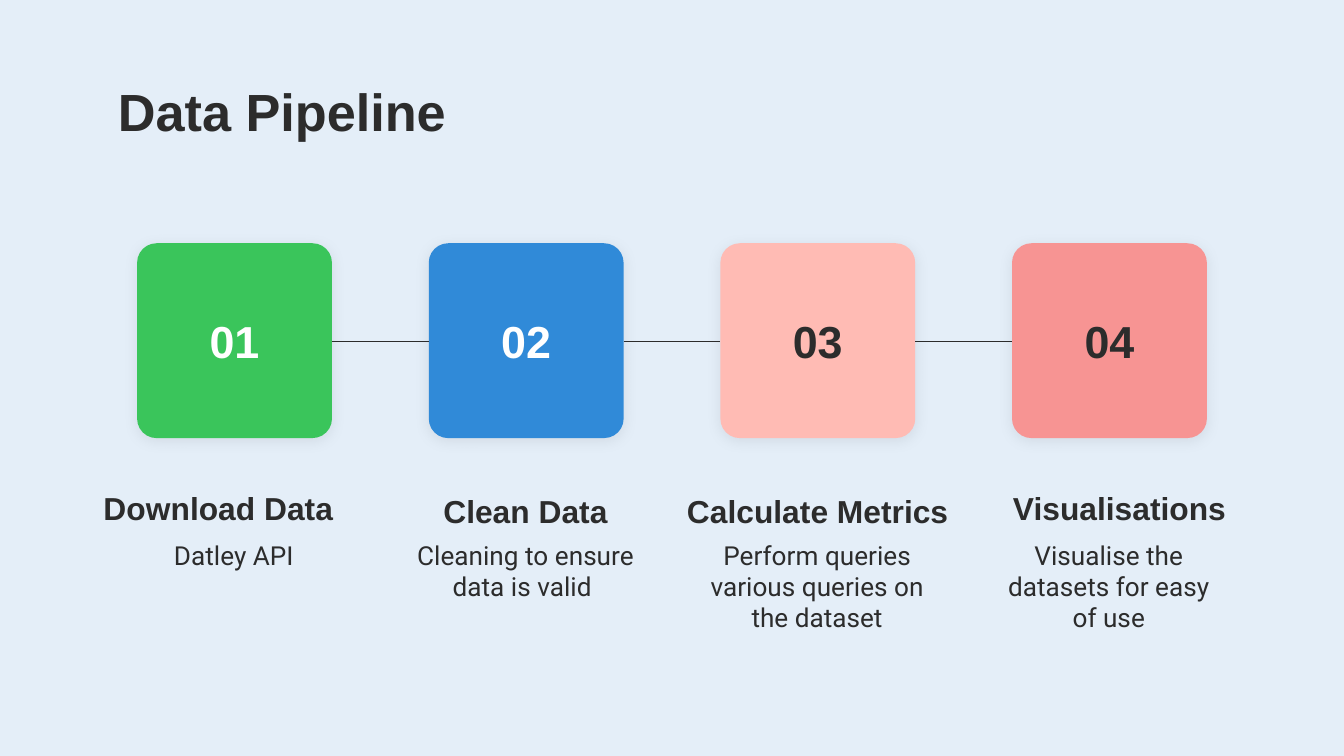
import lxml.etree
import pptx
import pptx.dml.color
import pptx.enum.shapes
import pptx.enum.text
import pptx.oxml.ns
import pptx.util

Inches = pptx.util.Inches
ANCHOR = pptx.enum.text.MSO_ANCHOR
ALIGN = pptx.enum.text.PP_ALIGN

THEME = {
    "background": "E4EEF8", "ink": "2C2C2C", "white": "FFFFFF",
    "green": "3AC55B", "blue": "308AD8", "blush": "FFBBB4", "coral": "F79493",
    "heading_font": "Arial", "body_font": "Roboto",
    "title_size": 28, "number_size": 24, "heading_size": 17, "body_size": 14,
    "line_width": 0.75,
}

TITLE = "Data Pipeline"
# Heading boxes are (left, top, width); the last value is the description's left.
STEPS = [
    ("green", "white", "Download Data", (0.54, 3.41, 2.17),
     "Datley API", 0.78),
    ("blue", "white", "Clean Data", (2.95, 3.43, 1.92),
     "Cleaning to ensure data is valid ", 2.95),
    ("blush", "ink", "Calculate Metrics", (4.78, 3.43, 2.61),
     "Perform queries various queries on the dataset", 5.12),
    ("coral", "ink", "Visualisations", (7.29, 3.41, 2.08),
     "Visualise the datasets for easy of use", 7.29),
]

SLIDE_WIDTH = Inches(10)
SLIDE_HEIGHT = SLIDE_WIDTH * 9 // 16
TILE_LEFT, TILE_TOP, TILE_SIZE, TILE_PITCH = 1.02, 1.81, 1.45, 2.17
LINE_TOP = 2.54
HEADING_HEIGHT = 0.61
BODY_TOP, BODY_WIDTH, BODY_HEIGHT = 3.91, 1.92, 0.91


def color(name):
    return pptx.dml.color.RGBColor.from_string(THEME[name])


def set_text(shape, text, role, ink="ink", anchor=ANCHOR.TOP, align=ALIGN.CENTER):
    frame = shape.text_frame
    frame.word_wrap = True
    frame.vertical_anchor = anchor
    frame.margin_left = frame.margin_right = Inches(0.1)
    frame.margin_top = frame.margin_bottom = Inches(0.1)
    paragraph = frame.paragraphs[0]
    paragraph.text = text
    paragraph.alignment = align
    font = paragraph.font
    font.name = THEME["body_font" if role == "body" else "heading_font"]
    font.size = pptx.util.Pt(THEME[role + "_size"])
    font.bold = role != "body"
    font.color.rgb = color(ink)


def add_text(slide, box, text, role, **options):
    shape = slide.shapes.add_textbox(*map(Inches, box))
    set_text(shape, text, role, **options)


def add_effects(shape):
    """Append an empty effect list, which removes the inherited shadow."""
    properties = shape._element.spPr
    return lxml.etree.SubElement(properties, pptx.oxml.ns.qn("a:effectLst"))


def add_soft_shadow(shape):
    qn = pptx.oxml.ns.qn
    shadow = lxml.etree.SubElement(
        add_effects(shape), qn("a:outerShdw"),
        blurRad=str(pptx.util.Pt(7.9)), dist=str(pptx.util.Pt(1.5)),
        dir="5400000", algn="bl", rotWithShape="0")
    shade = lxml.etree.SubElement(shadow, qn("a:srgbClr"), val="000000")
    lxml.etree.SubElement(shade, qn("a:alpha"), val="8000")


def add_tile(slide, left, number, fill, ink):
    shape = slide.shapes.add_shape(
        pptx.enum.shapes.MSO_SHAPE.ROUNDED_RECTANGLE,
        Inches(left), Inches(TILE_TOP), Inches(TILE_SIZE), Inches(TILE_SIZE))
    shape.adjustments[0] = 0.1
    shape.fill.solid()
    shape.fill.fore_color.rgb = color(fill)
    shape.line.fill.background()
    add_soft_shadow(shape)
    set_text(shape, f"{number:02}", "number", ink, ANCHOR.MIDDLE)
    return shape


def connect(slide, first, second):
    line = slide.shapes.add_connector(
        pptx.enum.shapes.MSO_CONNECTOR.STRAIGHT,
        first.left + first.width, Inches(LINE_TOP), second.left, Inches(LINE_TOP))
    line.line.color.rgb = color("ink")
    line.line.width = pptx.util.Pt(THEME["line_width"])
    add_effects(line)


def main():
    presentation = pptx.Presentation()
    presentation.slide_width = SLIDE_WIDTH
    presentation.slide_height = SLIDE_HEIGHT
    slide = presentation.slides.add_slide(presentation.slide_layouts[6])
    slide.background.fill.solid()
    slide.background.fill.fore_color.rgb = color("background")

    add_text(slide, (0.78, 0.49, 8.44, 0.81), TITLE, "title", align=ALIGN.LEFT)
    tiles = []
    for index, (fill, ink, heading, heading_box, body, body_left) in enumerate(STEPS):
        left = TILE_LEFT + index * TILE_PITCH
        tiles.append(add_tile(slide, left, index + 1, fill, ink))
        add_text(slide, (*heading_box, HEADING_HEIGHT), heading, "heading",
                 anchor=ANCHOR.BOTTOM)
        add_text(slide, (body_left, BODY_TOP, BODY_WIDTH, BODY_HEIGHT), body, "body")
    for first, second in zip(tiles, tiles[1:]):
        connect(slide, first, second)

    presentation.save("out.pptx")


if __name__ == "__main__":
    main()
